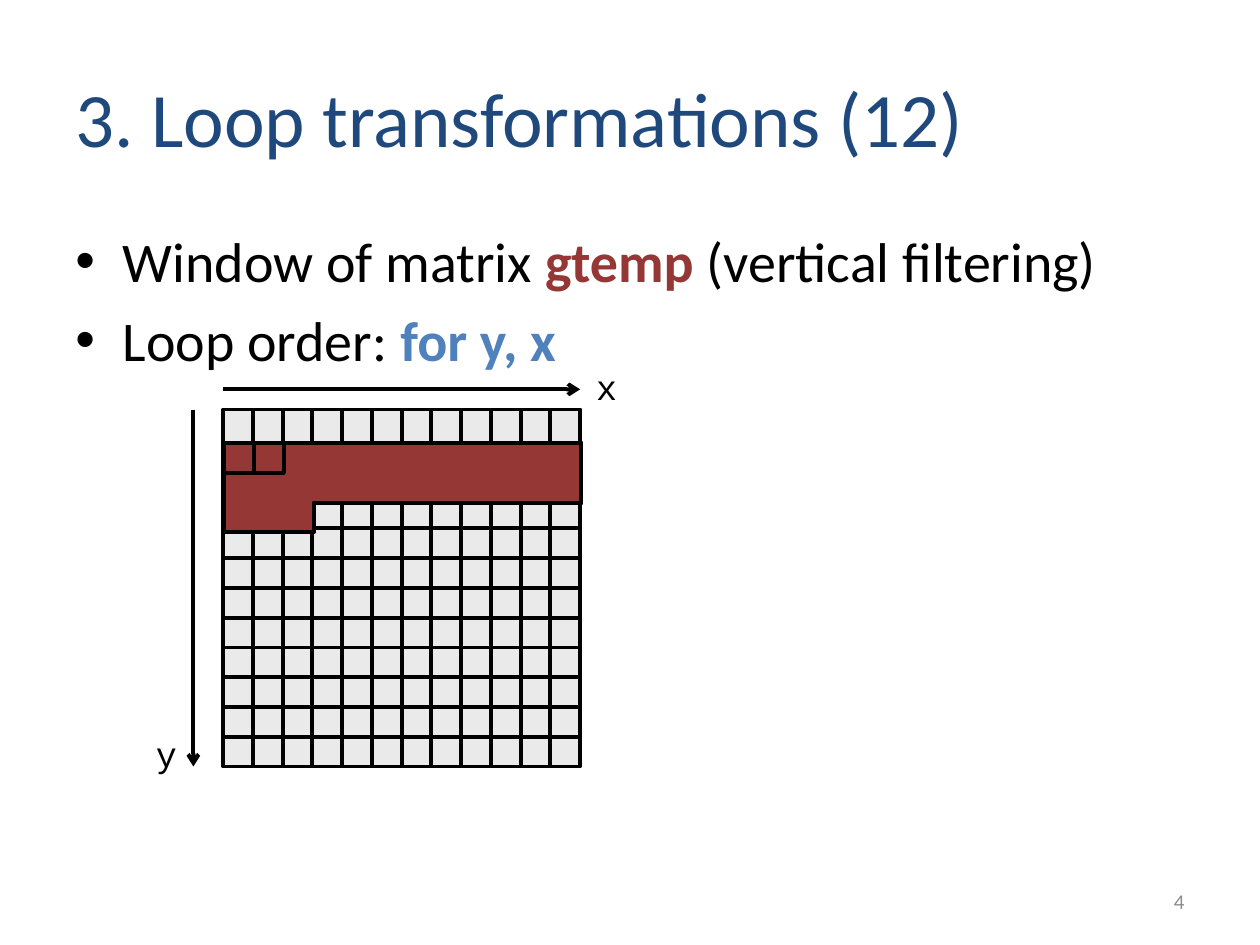
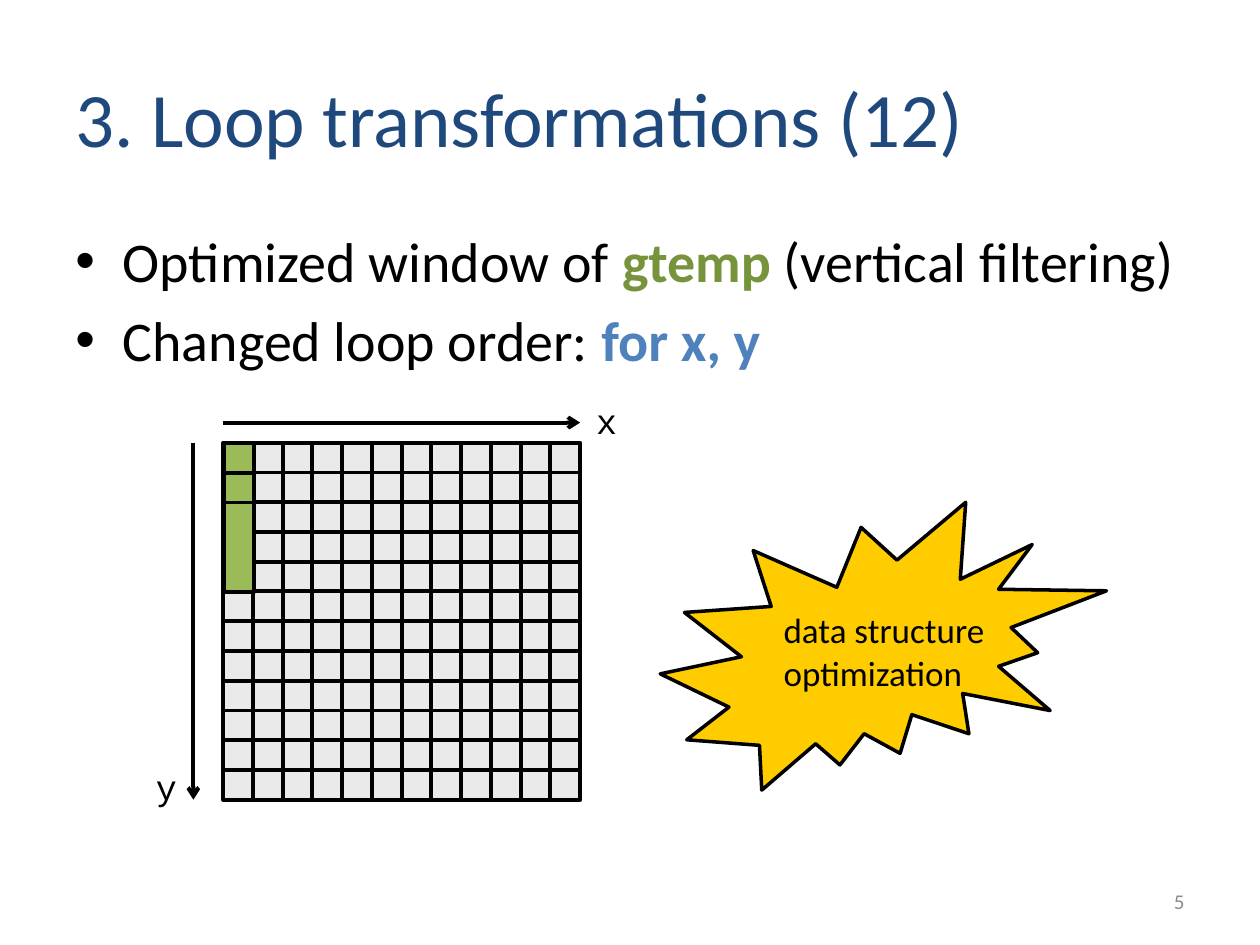
from dataclasses import dataclass

from lxml import etree
from pptx import Presentation
from pptx.dml.color import RGBColor
from pptx.enum.shapes import MSO_CONNECTOR, MSO_SHAPE
from pptx.enum.text import MSO_ANCHOR, PP_ALIGN
from pptx.oxml.ns import qn
from pptx.util import Pt

STRAIGHT = MSO_CONNECTOR.STRAIGHT
RECTANGLE, BURST = MSO_SHAPE.RECTANGLE, MSO_SHAPE.EXPLOSION2
TOP, MIDDLE = MSO_ANCHOR.TOP, MSO_ANCHOR.MIDDLE
LEFT, RIGHT = PP_ALIGN.LEFT, PP_ALIGN.RIGHT


@dataclass(frozen=True)
class Theme:
    font: str = "Calibri"
    axis_font: str = "Courier New"
    title: str = "1F497D"
    ink: str = "000000"
    loop: str = "4F81BD"
    cell: str = "EAEAEA"
    red: str = "953735"
    green: str = "9BBB59"
    green_text: str = "77933C"
    burst: str = "FFCC00"
    number: str = "8C8C8C"
    title_size: int = 44
    body_size: int = 32
    label_size: int = 20
    number_size: int = 12
    grid_line: float = 2.25
    thin_line: float = 2


THEME = Theme()

# Content: a run is (text, colour, bold)
TITLE = "3. Loop transformations (12)"
SLIDES = [
    {
        "number": "4",
        "bullets": [
            [("Window of matrix ", THEME.ink, False), ("gtemp ", THEME.red, True),
             ("(vertical filtering)", THEME.ink, False)],
            [("Loop order: ", THEME.ink, False), ("for y, x", THEME.loop, True)],
        ],
        "matrix_top": 234,
        "first_row_line": 2,
        "window": "rows",
    },
    {
        "number": "5",
        "bullets": [
            [("Optimized window of ", THEME.ink, False), ("gtemp ", THEME.green_text, True),
             ("(vertical filtering)", THEME.ink, False)],
            [("Changed loop order: ", THEME.ink, False), ("for x, y", THEME.loop, True)],
        ],
        "matrix_top": 253,
        "first_row_line": 1,
        "window": "column",
        "burst": ["data structure", "optimization"],
    },
]

# Matrix geometry in points
CELLS, CELL = 12, 17
SIDE = CELLS * CELL
MATRIX_LEFT = 127.5
WINDOW_LEFT, WINDOW_TOP = 128.25, 253.25
WINDOW_STEPS = 3


def rgb(colour):
    return RGBColor.from_string(colour)


def add_run(paragraph, text, size, colour, bold=False, font=THEME.font):
    run = paragraph.add_run()
    run.text = text
    run.font.name, run.font.size, run.font.bold = font, Pt(size), bold
    run.font.color.rgb = rgb(colour)


def add_text_box(shapes, left, top, width, height, anchor=TOP, wrap=True):
    frame = shapes.add_textbox(Pt(left), Pt(top), Pt(width), Pt(height)).text_frame
    frame.word_wrap, frame.vertical_anchor = wrap, anchor
    return frame


def paint(shape, fill, weight):
    shape.shadow.inherit = False
    shape.fill.solid()
    shape.fill.fore_color.rgb = rgb(fill)
    shape.line.color.rgb = rgb(THEME.ink)
    shape.line.width = Pt(weight)


def add_box(shapes, kind, left, top, width, height, fill, weight):
    box = shapes.add_shape(kind, Pt(left), Pt(top), Pt(width), Pt(height))
    paint(box, fill, weight)
    return box


def add_line(shapes, x1, y1, x2, y2, arrow=False):
    line = shapes.add_connector(STRAIGHT, Pt(x1), Pt(y1), Pt(x2), Pt(y2))
    line.line.color.rgb = rgb(THEME.ink)
    line.line.width = Pt(THEME.grid_line)
    properties = line.element.spPr
    if arrow:
        etree.SubElement(properties.find(qn("a:ln")), qn("a:tailEnd"), type="arrow")
    etree.SubElement(properties, qn("a:effectLst"))


def add_bullet(paragraph):
    properties = paragraph._p.get_or_add_pPr()
    properties.set("marL", str(Pt(27)))
    properties.set("indent", str(-Pt(27)))
    etree.SubElement(properties, qn("a:buFont"), typeface="Arial")
    etree.SubElement(properties, qn("a:buChar"), char="•")


def add_frame(shapes, content):
    """Title, bullets and slide number."""
    title = add_text_box(shapes, 36, 21.6, 648, 90, MIDDLE)
    add_run(title.paragraphs[0], TITLE, THEME.title_size, THEME.title)

    body = add_text_box(shapes, 36, 126, 648, 356.4)
    for index, runs in enumerate(content["bullets"]):
        paragraph = body.add_paragraph() if index else body.paragraphs[0]
        paragraph.space_before = Pt(6.4 if index else 0)
        add_bullet(paragraph)
        for text, colour, bold in runs:
            add_run(paragraph, text, THEME.body_size, colour, bold)

    number = add_text_box(shapes, 516, 500.5, 168, 28.8, MIDDLE).paragraphs[0]
    number.alignment = RIGHT
    add_run(number, content["number"], THEME.number_size, THEME.number)


def add_matrix(shapes, top, first_row_line):
    """Grid of cells with its x and y arrows, as one group."""
    matrix = shapes.add_group_shape().shapes
    right, bottom = MATRIX_LEFT + SIDE, top + SIDE
    add_box(matrix, RECTANGLE, MATRIX_LEFT, top, SIDE, SIDE, THEME.cell, THEME.grid_line)
    for column in range(1, CELLS):
        x = MATRIX_LEFT + column * CELL
        add_line(matrix, x, top, x, bottom)
    for row in range(first_row_line, CELLS):
        y = top + row * CELL
        add_line(matrix, MATRIX_LEFT, y, right, y)

    add_line(matrix, MATRIX_LEFT - CELL, top, MATRIX_LEFT - CELL, bottom, arrow=True)
    add_line(matrix, MATRIX_LEFT, top - 11.5, right, top - 11.5, arrow=True)
    for axis, left, label_top in (("y", 82, bottom - 23), ("x", 333.5, top - 28.5)):
        label = add_text_box(matrix, left, label_top, 26.5, 31, wrap=False)
        add_run(label.paragraphs[0], axis, THEME.label_size, THEME.ink, font=THEME.axis_font)


def add_row_windows(shapes):
    """Two full rows plus the part of a third, moving one cell per step."""
    for step in range(1, WINDOW_STEPS + 1):
        start = step - 1
        corners = [(start, 1), (start, 0), (CELLS, 0), (CELLS, 2),
                   (step, 2), (step, 3), (0, 3), (0, 1)]
        points = [(Pt(WINDOW_LEFT + x * CELL), Pt(WINDOW_TOP + y * CELL)) for x, y in corners]
        outline = shapes.build_freeform(*points[0])
        outline.add_line_segments(points[1:], close=True)
        paint(outline.convert_to_shape(), THEME.red, THEME.grid_line)


def add_column_windows(shapes):
    """Three cells in one column, moving down one cell per step."""
    for step in range(WINDOW_STEPS):
        add_box(shapes, RECTANGLE, WINDOW_LEFT, WINDOW_TOP + step * CELL,
                CELL, 3 * CELL, THEME.green, THEME.thin_line)


def add_burst(shapes, lines):
    burst = add_box(shapes, BURST, 377.3, 287, 255, 164.5, THEME.burst, THEME.thin_line)
    frame = burst.text_frame
    frame.word_wrap, frame.vertical_anchor = False, MIDDLE
    for index, text in enumerate(lines):
        paragraph = frame.add_paragraph() if index else frame.paragraphs[0]
        paragraph.alignment = LEFT
        add_run(paragraph, text, THEME.label_size, THEME.ink)


WINDOWS = {"rows": add_row_windows, "column": add_column_windows}


def main():
    deck = Presentation()
    deck.slide_width, deck.slide_height = Pt(720), Pt(540)
    for content in SLIDES:
        shapes = deck.slides.add_slide(deck.slide_layouts[6]).shapes
        add_frame(shapes, content)
        add_matrix(shapes, content["matrix_top"], content["first_row_line"])
        WINDOWS[content["window"]](shapes)
        if "burst" in content:
            add_burst(shapes, content["burst"])
    deck.save("out.pptx")


if __name__ == "__main__":
    main()
